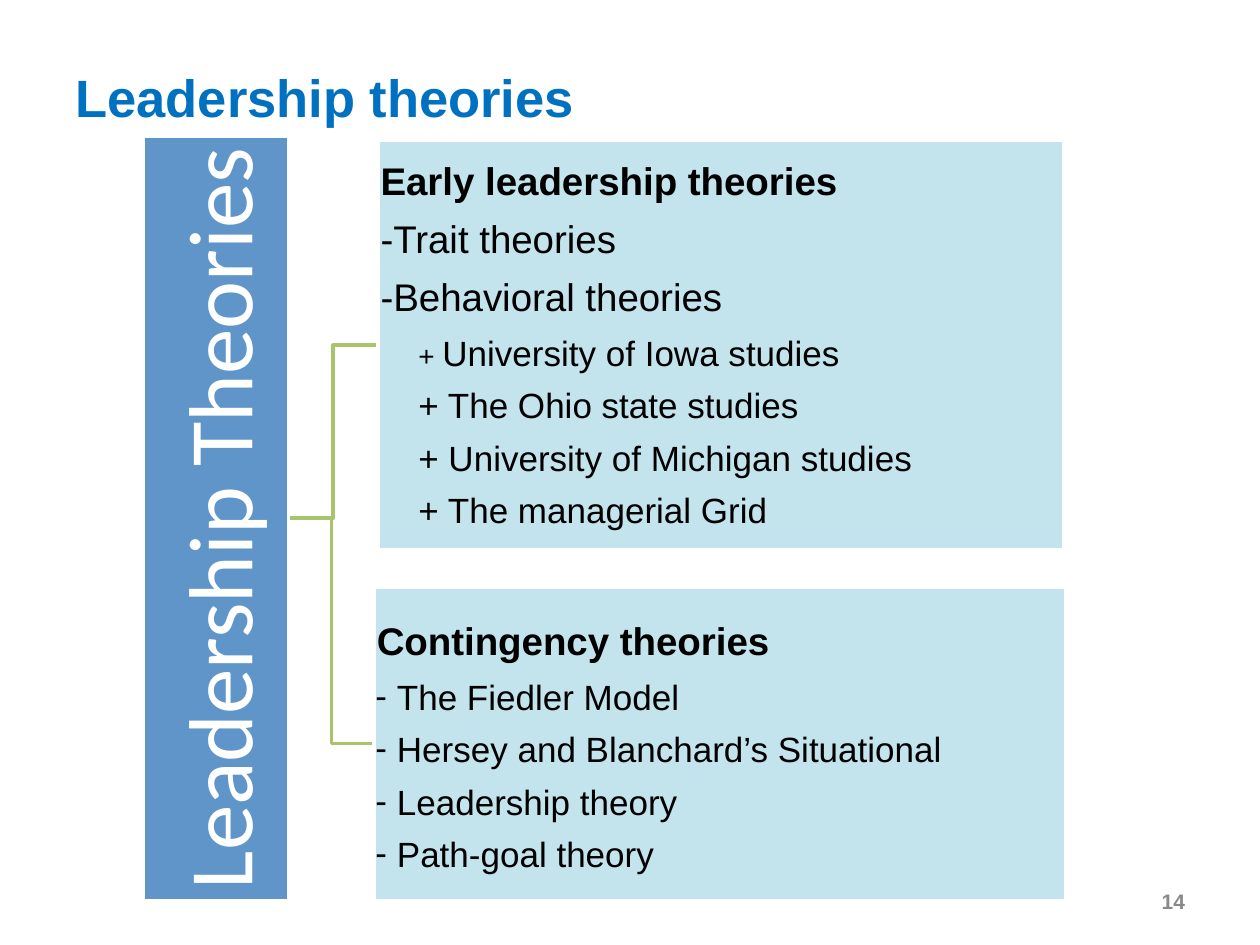
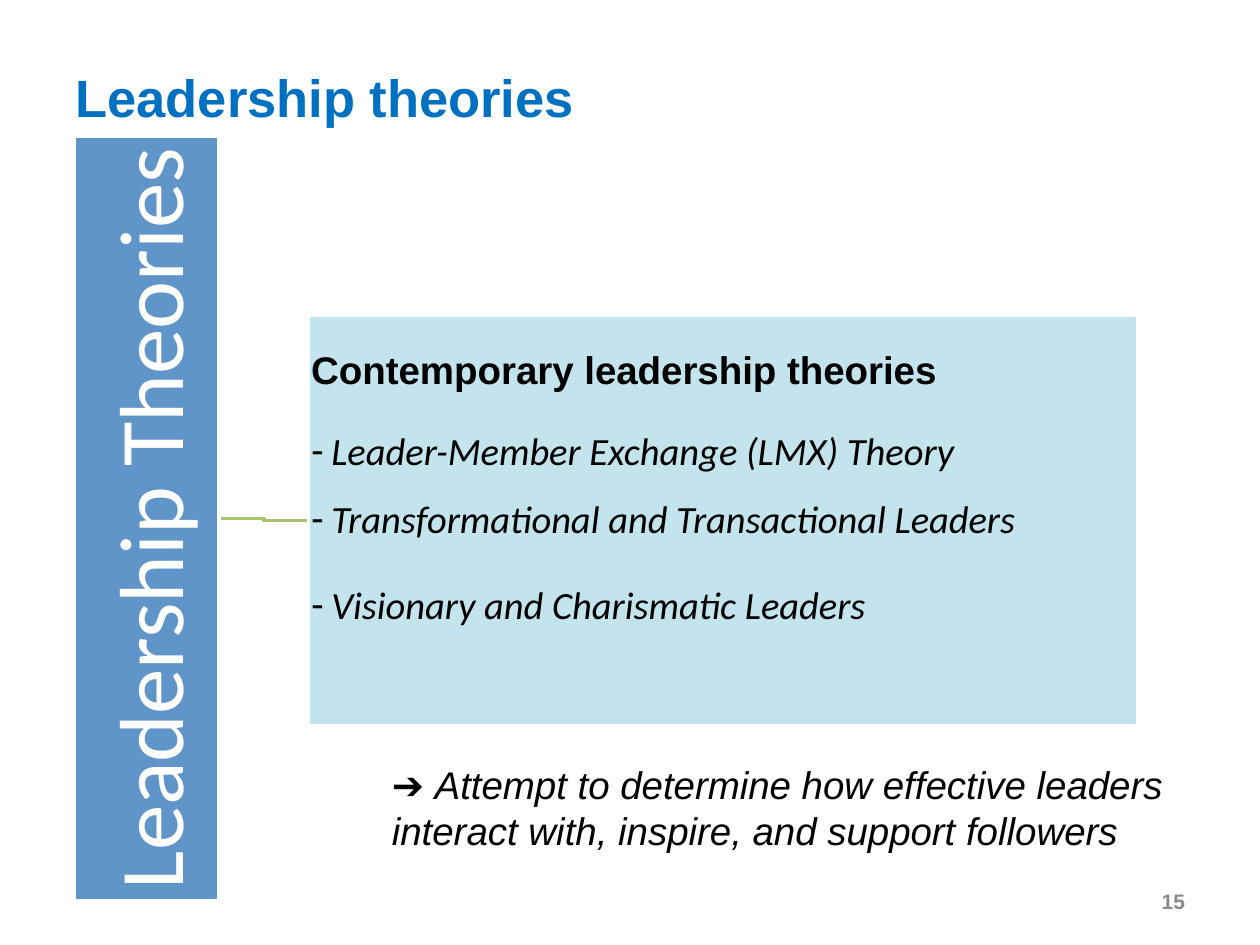
import lxml.etree
import pptx
import pptx.dml.color
import pptx.enum.shapes
import pptx.enum.text
import pptx.oxml.ns
import pptx.util

RGBColor = pptx.dml.color.RGBColor
TITLE_BLUE = RGBColor(0x00, 0x70, 0xC0)
BAR_BLUE = RGBColor(0x60, 0x95, 0xC9)
PANEL_BLUE = RGBColor(0xC3, 0xE4, 0xED)
LINK_GREEN = RGBColor(0xAA, 0xC4, 0x6C)
NUMBER_GREY = RGBColor(0x89, 0x89, 0x89)
BLACK = RGBColor(0x00, 0x00, 0x00)
WHITE = RGBColor(0xFF, 0xFF, 0xFF)

# style: font, size, bold, italic, colour, left indent, first-line indent, bullet
STYLES = {
    "title": ("Arial", 30, True, False, TITLE_BLUE, 0.01, 0, None),
    "number": ("Arial", 12, True, False, NUMBER_GREY, 0.01, 0, None),
    "bar": ("Calibri", 52, False, False, WHITE, 0, 0, None),
    "heading": ("Arial", 22, True, False, BLACK, 0.02, 0, None),
    "branch": ("Arial", 22, False, False, BLACK, 0.02, 0, None),
    "study": ("Arial", 20, False, False, BLACK, 0.32, 0, None),
    "model": ("Arial", 20, False, False, BLACK, 0.18, -0.17, "-"),
    "modern": ("Calibri", 22, False, True, BLACK, 0.18, -0.16, "-"),
    "note": ("Arial", 22, False, True, BLACK, 0.01, 0, None),
}

# Left, top, width and height in percent of the slide; then the text's top inset in inches.
EARLY = ((30, 14.8, 54.4, 43.4), 0.14, [
    ("heading", 0, "Early leadership theories"),
    ("branch", 6.6, "-Trait theories"),
    ("branch", 6.6, "-Behavioral theories"),
    ("study", 6.8, "+ ", "University of Iowa studies"),
    ("study", 6, "+ The Ohio state studies"),
    ("study", 6, "+ University of Michigan studies"),
    ("study", 6, "+ The managerial Grid"),
])
CONTINGENCY = ((29.7, 62.1, 54.9, 33.2), 0.24, [
    ("heading", 0, "Contingency theories"),
    ("model", 6.8, "The Fiedler Model"),
    ("model", 6, "Hersey and Blanchard’s Situational"),
    ("model", 6, "Leadership theory"),
    ("model", 6, "Path-goal theory"),
])
CONTEMPORARY = ((24.5, 33.4, 65.8, 43.4), 0.24, [
    ("heading", 0, "Contemporary leadership theories"),
    ("modern", 19.8, "Leader-Member Exchange (LMX) Theory"),
    ("modern", 12.6, "Transformational and Transactional Leaders"),
    ("modern", 22.6, "Visionary and Charismatic Leaders"),
])

# Layout index, slide number, left edge of the bar, panels
PAGES = [
    (3, "14", 11.4, [EARLY, CONTINGENCY]),
    (1, "15", 5.9, [CONTEMPORARY]),
]

deck = pptx.Presentation()
deck.slide_width = pptx.util.Inches(10)
deck.slide_height = pptx.util.Inches(7.5)


def share(left, top, width, height):
    """Turn percentages of the slide into lengths."""
    wide, high = deck.slide_width / 100, deck.slide_height / 100
    return [round(part) for part in (left * wide, top * high, width * wide, height * high)]


def write(para, style, space, *texts):
    """Format a paragraph in a named style, fill it and return its spans."""
    font, size, bold, italic, colour, indent, first, bullet = STYLES[style]
    properties = para._p.get_or_add_pPr()
    properties.set("marL", str(pptx.util.Inches(indent)))
    properties.set("indent", str(pptx.util.Inches(first)))
    tag = pptx.oxml.ns.qn("a:buChar" if bullet else "a:buNone")
    mark = lxml.etree.SubElement(properties, tag)
    if bullet:
        mark.set("char", bullet)
    para.alignment = pptx.enum.text.PP_ALIGN.LEFT
    para.space_before = pptx.util.Pt(space)
    para.font.name = font
    para.font.size = pptx.util.Pt(size)
    para.font.bold = bold
    para.font.italic = italic
    para.font.color.rgb = colour
    spans = []
    for text in texts:
        span = para.add_run()
        span.text = text
        spans.append(span)
    return spans


for layout, number, bar_left, panels in PAGES:
    page = deck.slides.add_slide(deck.slide_layouts[layout])
    title, *bodies = page.placeholders
    title.left, title.top, title.width, title.height = share(5.9, 6.7, 80, 7)
    write(title.text_frame.paragraphs[0], "title", 0, "Leadership theories")

    number_box = page.shapes.add_textbox(*share(92.1, 93.9, 4, 3))
    write(number_box.text_frame.paragraphs[0], "number", 0, number)

    bar = page.shapes.add_shape(pptx.enum.shapes.MSO_SHAPE.RECTANGLE,
                                *share(bar_left, 14.4, 11.5, 80.9))
    bar.shadow.inherit = False
    write(bar.text_frame.paragraphs[0], "bar", 0, "Leadership Theories")
    bar.text_frame.paragraphs[0].alignment = pptx.enum.text.PP_ALIGN.CENTER

    for box in [title, number_box, bar, *bodies]:
        frame = box.text_frame
        frame.word_wrap = True
        frame.auto_size = pptx.enum.text.MSO_AUTO_SIZE.NONE
        frame.vertical_anchor = pptx.enum.text.MSO_ANCHOR.TOP
        frame.margin_left = frame.margin_right = frame.margin_bottom = 0
        frame.margin_top = pptx.util.Inches(0.01)
    bar.text_frame.margin_top = 0
    bar.text_frame.vertical_anchor = pptx.enum.text.MSO_ANCHOR.MIDDLE
    bar.text_frame._txBody.bodyPr.set("vert", "vert270")

    for panel, (area, inset, lines) in zip(bodies, panels):
        panel.left, panel.top, panel.width, panel.height = share(*area)
        frame = panel.text_frame
        frame.margin_top = pptx.util.Inches(inset)
        for row, (style, space, *texts) in enumerate(lines):
            para = frame.add_paragraph() if row else frame.paragraphs[0]
            spans = write(para, style, space, *texts)
            if len(spans) > 1:
                spans[0].font.size = pptx.util.Pt(16)

        link = page.shapes.add_connector(pptx.enum.shapes.MSO_CONNECTOR.ELBOW, 0, 0, 0, 0)
        link.begin_connect(bar, 3)
        link.end_connect(panel, 1)
        link.line.color.rgb = LINK_GREEN
        link.line.width = pptx.util.Pt(2)
        lxml.etree.SubElement(link.element.spPr, pptx.oxml.ns.qn("a:effectLst"))
        bar.element.getparent().insert(2, link.element)

    for block, colour in [(bar, BAR_BLUE)] + [(body, PANEL_BLUE) for body in bodies]:
        block.fill.solid()
        block.fill.fore_color.rgb = colour
        block.line.color.rgb = WHITE
        block.line.width = pptx.util.Pt(2)

note = page.shapes.add_textbox(*share(31, 80.1, 62.2, 10.3))
note.text_frame.word_wrap = True
note.text_frame.margin_left = note.text_frame.margin_right = 0
note.text_frame.margin_top = pptx.util.Inches(0.04)
note_para = note.text_frame.paragraphs[0]
arrow, message = write(
    note_para, "note", 0, "➔ ",
    "Attempt to determine how effective leaders interact with, inspire, and support followers")
arrow.font.italic = False
note_para.line_spacing = pptx.util.Pt(26)

deck.save("out.pptx")
